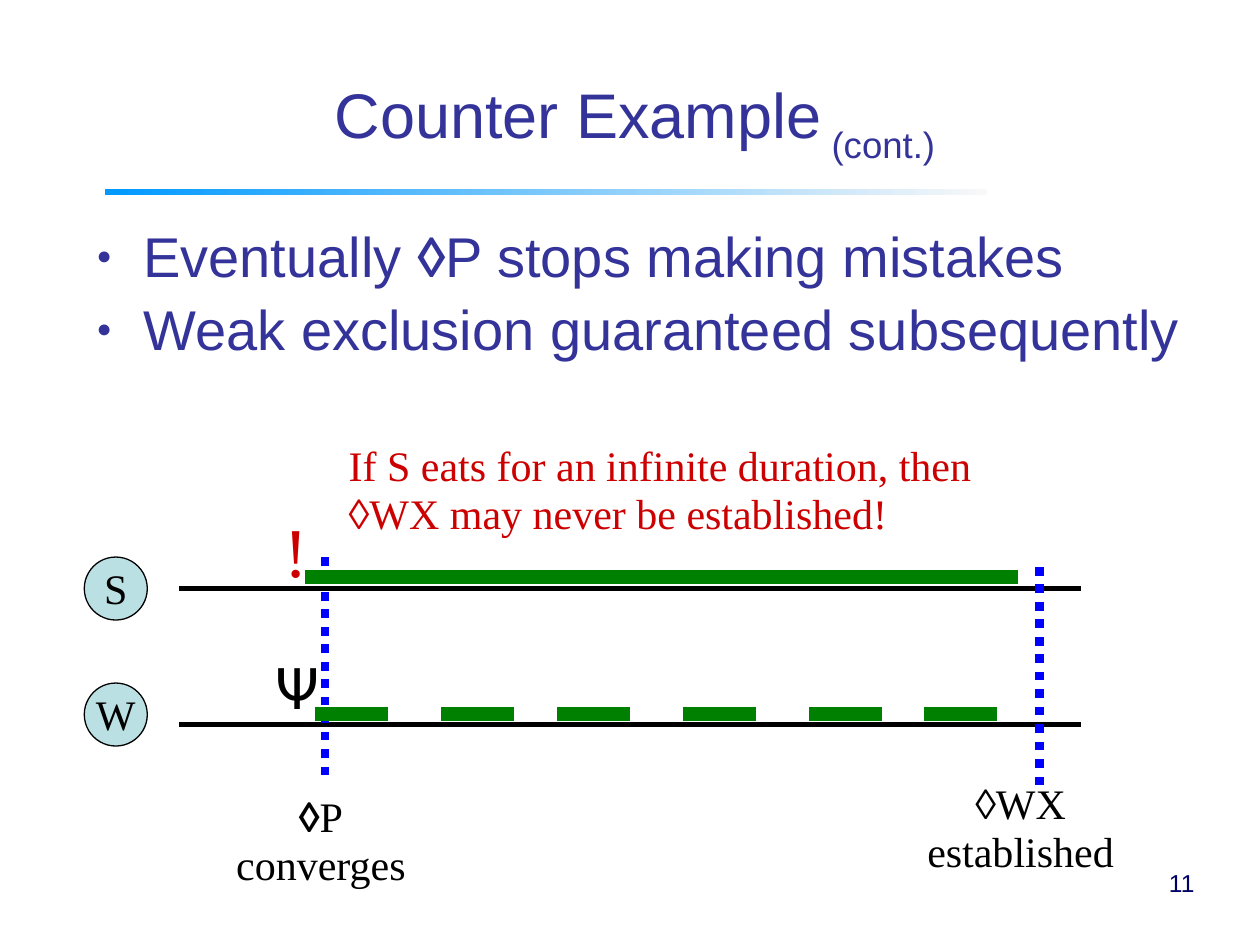
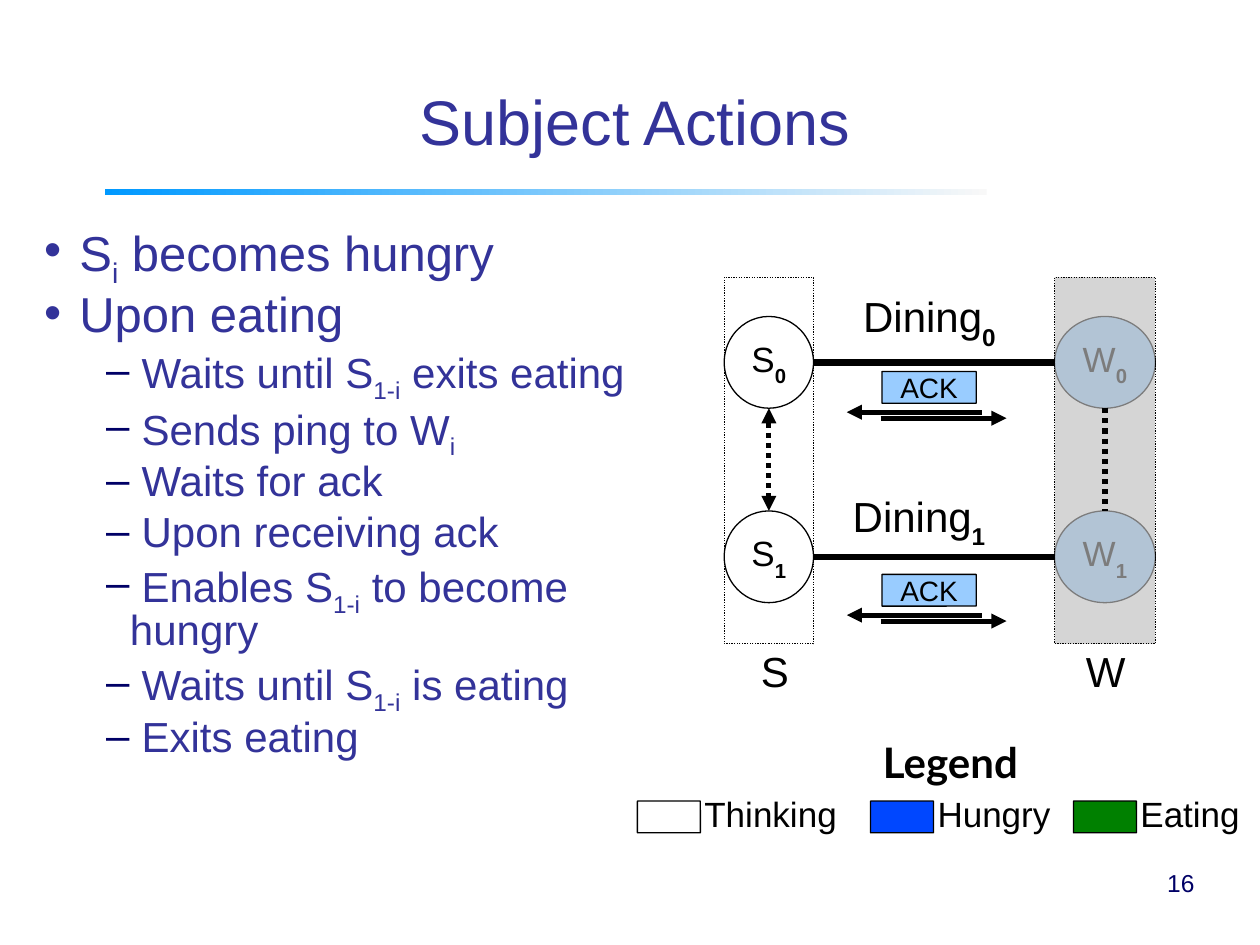
from dataclasses import dataclass

from lxml import etree
from pptx import Presentation, util as u
from pptx.dml.color import RGBColor
from pptx.enum import dml, shapes, text
from pptx.oxml import ns


@dataclass(frozen=True)
class Theme:
    heading: str = "333399"
    navy: str = "000066"
    ink: str = "000000"
    alert: str = "CC0000"
    rule: str = "0099FF"
    rule_end: str = "F8F8F8"
    process: str = "BBE0E3"
    paper: str = "FFFFFF"
    sky: str = "99CCFF"
    veil: str = "C0C0C0"
    hungry: str = "0047FF"
    eating: str = "008000"
    converged: str = "0000FF"
    sans: str = "Arial"
    serif: str = "Times New Roman"
    symbol: str = "DejaVu Sans"
    legend: str = "Lato"
    title_pt: int = 36
    point_pt: int = 32
    action_pt: int = 28
    label_pt: int = 24
    node_pt: int = 20
    ack_pt: int = 16
    number_pt: int = 14


T = Theme()
CENTER, LEFT, RIGHT = text.PP_ALIGN.CENTER, text.PP_ALIGN.LEFT, text.PP_ALIGN.RIGHT
TOP, MIDDLE, BOTTOM = text.MSO_ANCHOR.TOP, text.MSO_ANCHOR.MIDDLE, text.MSO_ANCHOR.BOTTOM
OVAL = shapes.MSO_SHAPE.OVAL
RECT = shapes.MSO_SHAPE.RECTANGLE
ROUNDED = shapes.MSO_SHAPE.ROUNDED_RECTANGLE

BOLD = {"bold": True}
SUB = {"base": -25}
CONT = {"base": -33}
INDEX = {"bold": True, "base": -33}

TITLE_BOX = (1.7, 1.04, 22.2, 2.31)
RULE_BOX = (2.11, 3.81, 17.78, 0.13)
NUMBER_BOX = (19.05, 17.15, 5.28, 1.27)

COUNTER = {
    "title": [("Counter Example", {}), (" (cont.)", CONT)],
    "number": "11",
    "points": [
        [("Eventually ", {}), ("◊", BOLD), ("P stops making mistakes", {})],
        "Weak exclusion guaranteed subsequently",
    ],
}
PROCESSES = [("S", 11.23, 11.86), ("W", 13.77, 14.61)]
TIMELINE = (3.61, 21.79)
MEALS = [(6.15, 14.37, 11.63)] + [
    (start, 1.48, 14.4) for start in (6.35, 8.89, 11.23, 13.77, 16.31, 18.62)
]
MOMENTS = [(6.55, 11.23), (20.96, 11.43)]
MOMENT_HEIGHT = 4.45
WARNING = [
    "If S eats for an infinite duration, then",
    [("◊", BOLD), ("WX may never be established!", {})],
]
CONVERGES = [[("◊", {"bold": True, "name": T.sans}), ("P", {})], "converges"]
ESTABLISHED = [[("◊", BOLD), ("WX", {})], "established"]
CAPTIONS = [
    (CONVERGES, (4.5, 15.88, 3.94, 2.26), CENTER, T.label_pt, T.serif, T.ink, 0.13),
    (ESTABLISHED, (18.44, 15.57, 4.27, 2.24), CENTER, T.label_pt, T.serif, T.ink, 0.18),
    (["Ψ"], (5.31, 13.13, 1.4, 1.6), LEFT, 32, T.symbol, T.ink, 0.15),
    (["!"], (5.49, 10.16, 0.97, 1.93), LEFT, 40, T.serif, T.alert, 0.2),
    (WARNING, (6.78, 8.76, 15.24, 2.24), LEFT, T.label_pt, T.serif, T.alert, 0.18),
]

SUBJECT = {
    "title": "Subject Actions",
    "number": "16",
    "points": [[("S", {}), ("i", SUB), (" becomes hungry", {})], "Upon eating"],
    "steps": [
        [(" Waits until S", {}), ("1-i", SUB), (" exits eating", {})],
        [(" Sends ping to W", {}), ("i", SUB)],
        " Waits for ack",
        " Upon receiving ack",
        [(" Enables S", {}), ("1-i", SUB), (" to become hungry", {})],
        [(" Waits until S", {}), ("1-i", SUB), (" is eating", {})],
        " Exits eating",
    ],
}
COLUMNS = [
    ("S", 14.6, 1.8, T.paper, None, 15.09),
    ("W", 21.26, 2.03, T.sky, T.veil, 21.64),
]
COLUMN_TOP, COLUMN_HEIGHT = 5.59, 7.39
NODE_TOP, NODE_HEIGHT, NODE_PITCH = 6.38, 1.85, 3.92
DININGS = [("0", 17.15, 5.72, 7.49), ("1", 16.94, 9.75, 11.58)]
LEGEND = [
    ("Thinking", T.paper, 12.85, 3.18),
    ("Hungry", T.hungry, 17.55, 2.79),
    ("Eating", T.eating, 21.64, 2.51),
]


def rgb(color):
    return RGBColor.from_string(color)


def cms(lengths):
    return [u.Cm(length) for length in lengths]


def element(parent, tag, **attributes):
    return etree.SubElement(parent, ns.qn(tag), attributes)


def add_bullet(paragraph, char, color, left, hanging, percent=100):
    props = paragraph._p.get_or_add_pPr()
    props.set("marL", str(u.Cm(left)))
    props.set("indent", str(-u.Cm(hanging)))
    element(element(props, "a:buClr"), "a:srgbClr", val=color)
    element(props, "a:buSzPct", val=str(percent * 1000))
    element(props, "a:buFont", typeface=T.sans)
    element(props, "a:buChar", char=char)


def fill_paragraph(paragraph, content, size, color, font=T.sans, align=LEFT,
                   spacing=1.0, before=0):
    paragraph.alignment = align
    paragraph.line_spacing = spacing
    paragraph.space_before = u.Pt(before)
    paragraph.font.size = u.Pt(size)
    paragraph.font.name = font
    paragraph.font.color.rgb = rgb(color)
    for words, style in [(content, {})] if isinstance(content, str) else content:
        run = paragraph.add_run()
        run.text = words
        if "bold" in style:
            run.font.bold = True
        if "name" in style:
            run.font.name = style["name"]
        if "base" in style:
            run._r.get_or_add_rPr().set("baseline", str(style["base"] * 1000))


def set_frame(frame, anchor=TOP, wrap=True, top=0.13):
    frame.auto_size = text.MSO_AUTO_SIZE.NONE
    frame.word_wrap = wrap
    frame.vertical_anchor = anchor
    frame.margin_left = frame.margin_right = u.Cm(0.25)
    frame.margin_top, frame.margin_bottom = u.Cm(top), u.Cm(0.13)


def paragraphs_for(frame, contents):
    for position, content in enumerate(contents):
        yield position, frame.add_paragraph() if position else frame.paragraphs[0], content


def add_label(slide, contents, box, size, color=T.ink, font=T.sans, align=LEFT,
              spacing=1.0, anchor=TOP, wrap=True, top=0.13):
    frame = slide.shapes.add_textbox(*cms(box)).text_frame
    set_frame(frame, anchor, wrap, top)
    for _, paragraph, content in paragraphs_for(frame, contents):
        fill_paragraph(paragraph, content, size, color, font, align, spacing)


def add_block(slide, kind, box, fill=None, dash=None, alpha=None):
    block = slide.shapes.add_shape(kind, *cms(box))
    block.shadow.inherit = False
    if kind == ROUNDED:
        block.adjustments[0] = 0.01
    if fill:
        block.fill.solid()
        block.fill.fore_color.rgb = rgb(fill)
        if alpha:
            shade = block._element.spPr.find(".//" + ns.qn("a:srgbClr"))
            element(shade, "a:alpha", val=str(alpha * 1000))
    else:
        block.fill.background()
    block.line.color.rgb = rgb(T.ink)
    block.line.width = u.Pt(0.75)
    if dash:
        block.line.dash_style = dash
    return block


def add_node(slide, kind, box, fill, content, size, font=T.sans, spacing=1.0,
             wrap=True, top=0.13):
    frame = add_block(slide, kind, box, fill).text_frame
    set_frame(frame, MIDDLE, wrap, top)
    fill_paragraph(frame.paragraphs[0], content, size, T.ink, font, CENTER, spacing)


def add_line(slide, start, end, width, color=T.ink, dotted=False, arrows=()):
    line = slide.shapes.add_connector(
        shapes.MSO_CONNECTOR.STRAIGHT, *cms(start), *cms(end))
    line.line.color.rgb = rgb(color)
    line.line.width = u.Pt(width)
    if dotted:
        line.line.dash_style = dml.MSO_LINE.ROUND_DOT
    for tag in arrows:
        element(line.line._get_or_add_ln(), tag, type="triangle")
    element(line._element.spPr, "a:effectLst")


def start_slide(deck, content, body_box):
    slide = deck.slides.add_slide(deck.slide_layouts[1])
    rule = slide.shapes.add_shape(RECT, *cms(RULE_BOX))
    rule.shadow.inherit = False
    rule.line.fill.background()
    rule.fill.gradient()
    rule.fill.gradient_angle = 180
    for stop, color in zip(rule.fill.gradient_stops, (T.rule_end, T.rule)):
        stop.color.rgb = rgb(color)
    body = slide.placeholders[1]
    for holder, box in ((slide.shapes.title, TITLE_BOX), (body, body_box)):
        holder.left, holder.top, holder.width, holder.height = cms(box)
    heading = slide.shapes.title.text_frame
    set_frame(heading, BOTTOM, top=0.23)
    fill_paragraph(heading.paragraphs[0], content["title"], T.title_pt, T.heading,
                   align=CENTER, spacing=0.93)
    set_frame(body.text_frame)
    add_label(slide, [content["number"]], NUMBER_BOX, T.number_pt, T.navy,
              align=RIGHT, anchor=MIDDLE)
    return slide, body.text_frame


def build_counter_example(deck):
    slide, body = start_slide(deck, COUNTER, (1.7, 4.45, 22.63, 12.07))
    for position, paragraph, point in paragraphs_for(body, COUNTER["points"]):
        add_bullet(paragraph, "●", T.heading, 0.94, 0.94, 45)
        fill_paragraph(paragraph, point, T.point_pt, T.heading, spacing=0.93,
                       before=6 if position else 0)
    for name, top, axis in PROCESSES:
        add_line(slide, (TIMELINE[0], axis), (TIMELINE[1], axis), 3)
        add_node(slide, OVAL, (1.7, top, 1.27, 1.27), T.process, name, T.label_pt,
                 T.serif, 0.95, wrap=False, top=0.18)
    for x, top in MOMENTS:
        add_line(slide, (x, top), (x, top + MOMENT_HEIGHT), 5, T.converged, dotted=True)
    for start, length, axis in MEALS:
        add_line(slide, (start, axis), (start + length, axis), 8, T.eating)
    for contents, box, align, size, font, color, top in CAPTIONS:
        add_label(slide, contents, box, size, color, font, align, 0.95,
                  wrap=contents is WARNING, top=top)


def build_subject_actions(deck):
    slide, body = start_slide(deck, SUBJECT, (0.64, 4.45, 12.5, 12.07))
    points = SUBJECT["points"]
    for position, paragraph, content in paragraphs_for(body, points + SUBJECT["steps"]):
        if position < len(points):
            add_bullet(paragraph, "•", T.heading, 0.71, 0.71)
            size, before = T.action_pt, 6 if position else 0
        else:
            paragraph.level = 1
            add_bullet(paragraph, "‒", T.navy, 1.73, 0.48)
            size, before = T.label_pt, 5
        fill_paragraph(paragraph, content, size, T.heading, spacing=0.83, before=before)

    node_tops = [NODE_TOP + lane * NODE_PITCH for lane in range(len(DININGS))]
    for name, left, width, fill, veil, label_left in COLUMNS:
        for (index, *_), top in zip(DININGS, node_tops):
            add_node(slide, OVAL, (left, top, width, NODE_HEIGHT), fill,
                     [(name, {}), (index, INDEX)], T.node_pt)
        add_block(slide, RECT, (left, COLUMN_TOP, width, COLUMN_HEIGHT), veil,
                  dml.MSO_LINE.ROUND_DOT, alpha=65)
        add_label(slide, [name], (label_left, 12.88, 1.65, 2.13), T.label_pt)
        middle = left + width / 2
        add_line(slide, (middle, node_tops[0] + NODE_HEIGHT), (middle, node_tops[1]), 2.89,
                 dotted=True, arrows=() if veil else ("a:headEnd", "a:tailEnd"))

    link_start, link_end = COLUMNS[0][1] + COLUMNS[0][2], COLUMNS[1][1]
    for (index, left, top, ack_top), node_top in zip(DININGS, node_tops):
        axis = node_top + NODE_HEIGHT / 2
        add_line(slide, (link_start, axis), (link_end, axis), 3.6)
        add_label(slide, [[("Dining", {}), (index, INDEX)]], (left, top, 3.6, 1.55),
                  T.label_pt)
        add_node(slide, ROUNDED, (17.78, ack_top, 1.9, 0.64), T.sky, "ACK", T.ack_pt)
        for tail, tip, drop in ((17.75, 20.29, 0.94), (19.79, 17.07, 0.82)):
            add_line(slide, (tail, ack_top + drop), (tip, ack_top + drop), 2.89,
                     arrows=("a:tailEnd",))

    add_label(slide, [[("Legend", BOLD)]], (17.55, 14.71, 2.97, 1.27), T.label_pt,
              font=T.legend, wrap=False)
    for state, color, left, width in LEGEND:
        add_block(slide, ROUNDED, (left, 16.15, 1.27, 0.64), color)
        add_label(slide, [state], (left + 1.1, 15.85, width, 1.09), T.node_pt, wrap=False)


def main():
    deck = Presentation()
    deck.slide_width, deck.slide_height = u.Cm(25.4), u.Cm(19.05)
    build_counter_example(deck)
    build_subject_actions(deck)
    deck.save("out.pptx")


if __name__ == "__main__":
    main()
